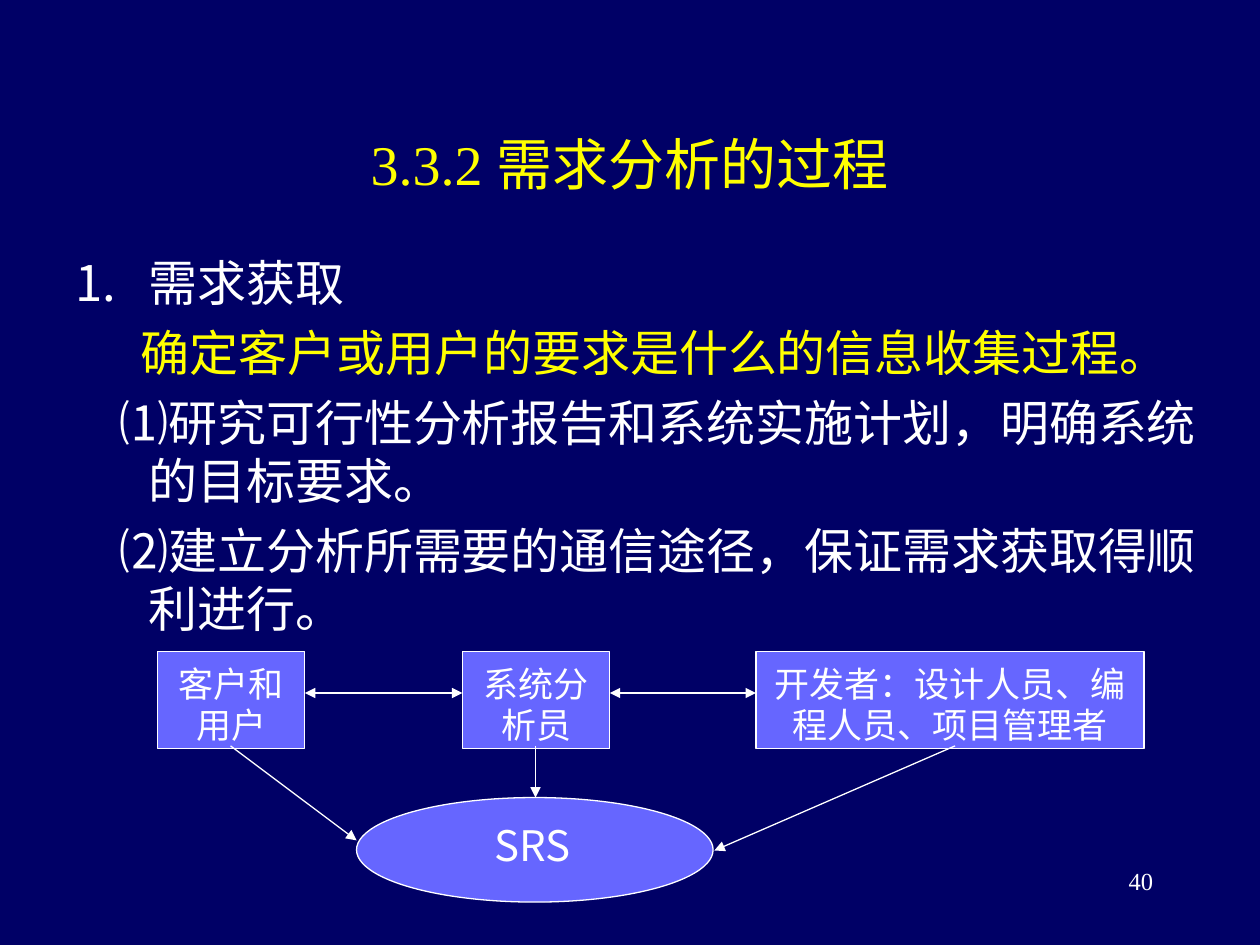
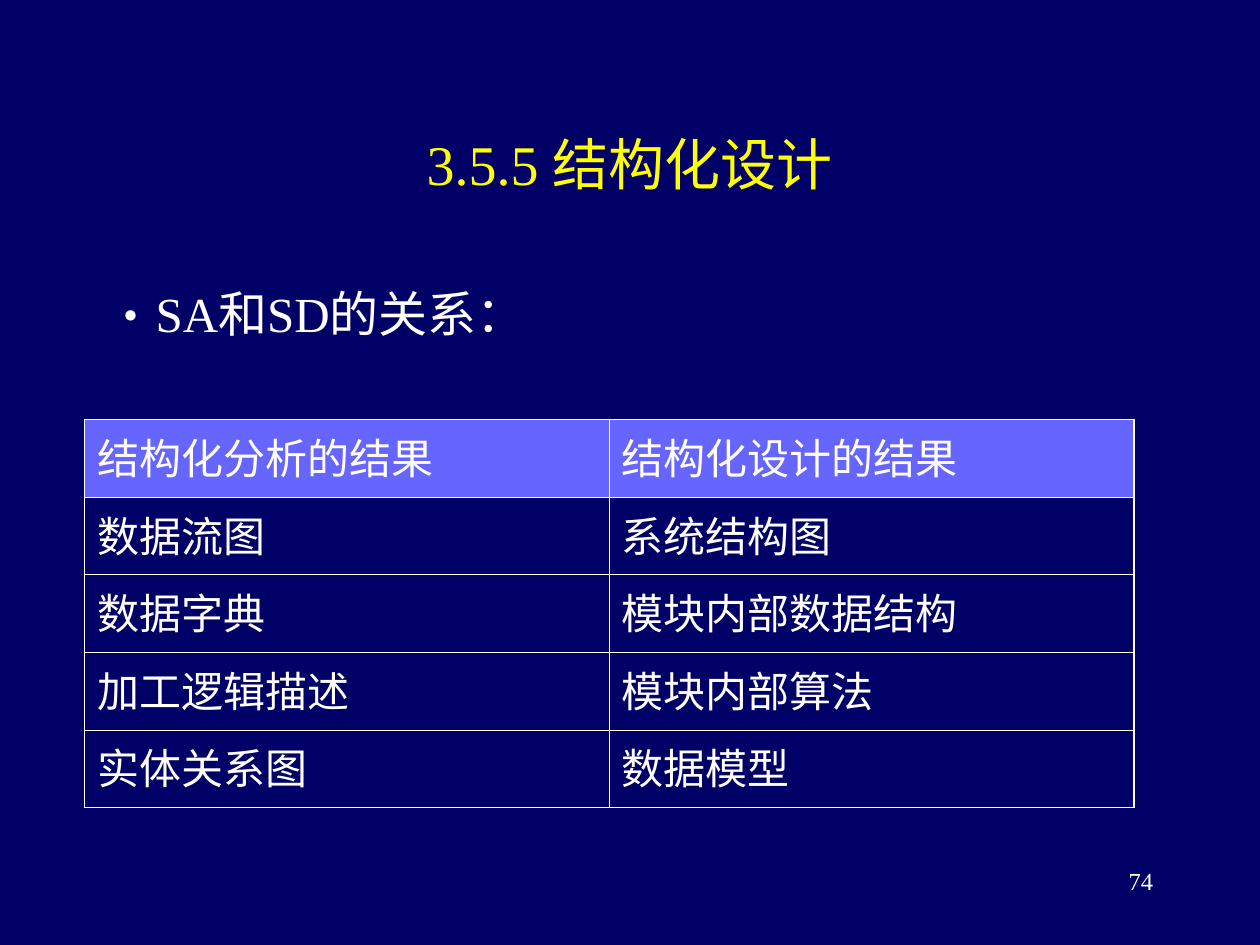
import pptx
import pptx.dml.color
import pptx.enum.shapes
import pptx.enum.text
import pptx.oxml
import pptx.oxml.ns
import pptx.util

Inches, Pt = pptx.util.Inches, pptx.util.Pt
RGBColor = pptx.dml.color.RGBColor
Shape = pptx.enum.shapes.MSO_SHAPE
Align = pptx.enum.text.PP_ALIGN
Anchor = pptx.enum.text.MSO_ANCHOR

NAVY = RGBColor(0x00, 0x00, 0x66)
VIOLET = RGBColor(0x66, 0x66, 0xFF)
YELLOW = RGBColor(0xFF, 0xFF, 0x00)
WHITE = RGBColor(0xFF, 0xFF, 0xFF)
SERIF = "Times New Roman"
SANS = "Noto Sans CJK SC"
LINE_PITCH = 1.18
NUMBERED = '<a:buAutoNum {} type="arabicPeriod"/>'
DOT = '<a:buChar {} char="•"/>'


def add_xml(parent, template):
    """Append the element written in template, whose {} takes the namespace."""
    parent.append(pptx.oxml.parse_xml(template.replace("{}", pptx.oxml.ns.nsdecls("a"))))


def format_paragraph(p, size, color=WHITE, font=SERIF, align=Align.LEFT):
    p.alignment = align
    p.font.size = Pt(size)
    p.font.name = font
    p.font.color.rgb = color


def set_insets(tf, top=0.09):
    tf.word_wrap = True
    tf.margin_left = tf.margin_right = Inches(0.1)
    tf.margin_top, tf.margin_bottom = Inches(top), Inches(0.05)


def set_line(line):
    line.color.rgb = WHITE
    line.width = Pt(0.75)


def add_text(slide, box, text, size, top=0.09, **style):
    tf = slide.shapes.add_textbox(*map(Inches, box)).text_frame
    set_insets(tf, top)
    p = tf.paragraphs[0]
    p.text = text
    p.line_spacing = Pt(size * LINE_PITCH)
    format_paragraph(p, size, **style)


def add_body(slide, box, items):
    """Each item is text, colour, left margin, first-line indent and bullet."""
    tf = slide.shapes.add_textbox(*map(Inches, box)).text_frame
    set_insets(tf)
    for i, (text, color, margin, indent, bullet) in enumerate(items):
        p = tf.add_paragraph() if i else tf.paragraphs[0]
        p.text = text
        pPr = p._p.get_or_add_pPr()
        pPr.set("marL", str(Inches(margin)))
        pPr.set("indent", str(Inches(indent)))
        if bullet:
            add_xml(pPr, f'<a:buFont {{}} typeface="{SANS}"/>')
            add_xml(pPr, bullet)
        p.line_spacing = Pt(28 * LINE_PITCH)
        p.space_before = Pt(7)
        format_paragraph(p, 28, color)


def add_node(slide, kind, box, text=""):
    sp = slide.shapes.add_shape(kind, *map(Inches, box))
    sp.shadow.inherit = False
    sp.fill.solid()
    sp.fill.fore_color.rgb = VIOLET
    set_line(sp.line)
    if text:
        tf = sp.text_frame
        set_insets(tf)
        tf.vertical_anchor = Anchor.TOP
        p = tf.paragraphs[0]
        p.text = text
        p.line_spacing = Pt(20 * LINE_PITCH)
        format_paragraph(p, 20, align=Align.CENTER)


def add_arrow(slide, start, end, both=False):
    cxn = slide.shapes.add_connector(
        pptx.enum.shapes.MSO_CONNECTOR.STRAIGHT, *map(Inches, start + end))
    set_line(cxn.line)
    spPr = cxn._element.spPr
    ln = spPr.find(pptx.oxml.ns.qn("a:ln"))
    if both:
        add_xml(ln, '<a:headEnd {} type="triangle"/>')
    add_xml(ln, '<a:tailEnd {} type="triangle"/>')
    add_xml(spPr, "<a:effectLst {}/>")


def set_borders(cell, thick_sides):
    for side in "LRTB":
        width = Pt(1.08 if side in thick_sides else 0.45)
        add_xml(cell._tc.get_or_add_tcPr(),
                f'<a:ln{side} {{}} w="{width}"><a:solidFill><a:srgbClr val="{WHITE}"/>'
                f"</a:solidFill></a:ln{side}>")


def add_result_table(slide, rows):
    n = len(rows)
    table = slide.shapes.add_table(
        n, 2, *map(Inches, (0.67, 3.33, 8.33, 3.08))).table
    table.first_row = table.horz_banding = False
    for i, row in enumerate(rows):
        for j, text in enumerate(row):
            cell = table.cell(i, j)
            set_borders(cell, "LR"[j] + ("T" if i == 0 else "B" if i == n - 1 else ""))
            if i == 0:
                cell.fill.solid()
                cell.fill.fore_color.rgb = VIOLET
            else:
                cell.fill.background()
            p = cell.text_frame.paragraphs[0]
            p.text = text
            p.space_before = Pt(6)
            format_paragraph(p, 24)


def add_slide(prs, title, number):
    slide = prs.slides.add_slide(prs.slide_layouts[5])
    sp = slide.shapes.title
    sp.left, sp.top, sp.width, sp.height = map(Inches, (0.75, 0.67, 8.5, 1.25))
    tf = sp.text_frame
    set_insets(tf, 0.05)
    tf.vertical_anchor = Anchor.MIDDLE
    tf.paragraphs[0].text = title
    format_paragraph(tf.paragraphs[0], 32, YELLOW, align=Align.CENTER)
    add_text(slide, (7.17, 6.83, 2.08, 0.5), number, 14, top=0.05, align=Align.RIGHT)
    return slide


def build_process_slide(prs):
    slide = add_slide(prs, "3.3.2 需求分析的过程", "40")
    add_body(slide, (0.5, 1.92, 9.17, 3.25), [
        ("需求获取", WHITE, 0.58, -0.58, NUMBERED),
        ("确定客户或用户的要求是什么的信息收集过程。", YELLOW, 0.52, 0, None),
        ("⑴研究可行性分析报告和系统实施计划，明确系统的目标要求。",
         WHITE, 0.58, -0.23, None),
        ("⑵建立分析所需要的通信途径，保证需求获取得顺利进行。",
         WHITE, 0.58, -0.23, None),
    ])
    roles = [(1.25, 1.17, "客户和用户"), (3.67, 1.17, "系统分析员"),
             (6, 3.08, "开发者：设计人员、编程人员、项目管理者")]
    for left, width, role in roles:
        add_node(slide, Shape.RECTANGLE, (left, 5.17, width, 0.77), role)
    add_node(slide, Shape.OVAL, (2.83, 6.33, 2.83, 0.83))
    add_text(slide, (3.83, 6.42, 1.67, 0.5), "SRS", 24, font=SANS)
    for x, end in [(1.83, (2.83, 6.67)), (7.58, (5.67, 6.75)), (4.25, (4.25, 6.33))]:
        add_arrow(slide, (x, 5.92), end)
    for (left, width, _), (next_left, _, _) in zip(roles, roles[1:]):
        add_arrow(slide, (left + width, 5.5), (next_left, 5.5), both=True)


def build_design_slide(prs):
    slide = add_slide(prs, "3.5.5 结构化设计", "74")
    add_body(slide, (0.75, 2.17, 8.5, 0.75),
             [("SA和SD的关系：", WHITE, 0.38, -0.38, DOT)])
    add_result_table(slide, [
        ("结构化分析的结果", "结构化设计的结果"),
        ("数据流图", "系统结构图"),
        ("数据字典", "模块内部数据结构"),
        ("加工逻辑描述", "模块内部算法"),
        ("实体关系图", "数据模型"),
    ])


def main():
    prs = pptx.Presentation()
    prs.slide_width, prs.slide_height = Inches(10), Inches(7.5)
    fill = prs.slide_master.background.fill
    fill.solid()
    fill.fore_color.rgb = NAVY
    build_process_slide(prs)
    build_design_slide(prs)
    prs.save("out.pptx")


if __name__ == "__main__":
    main()
